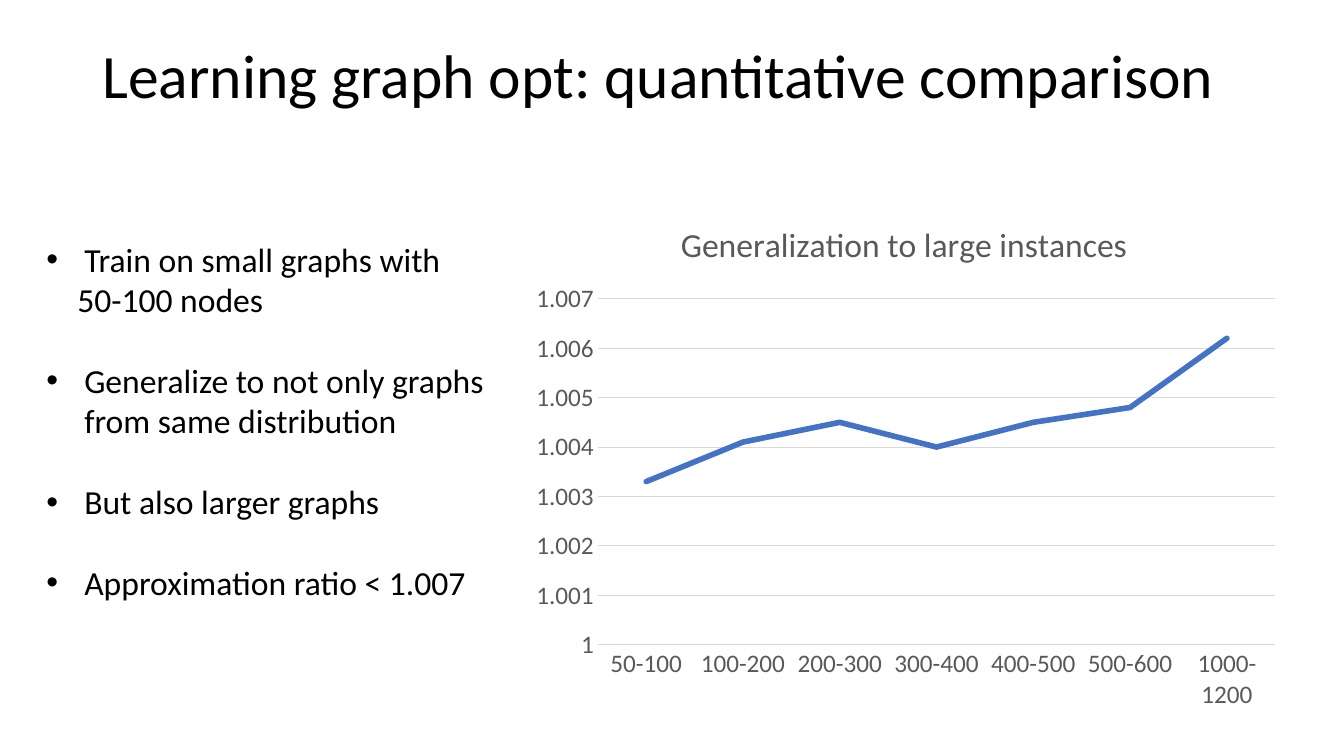
from dataclasses import dataclass

from lxml.etree import SubElement
from pptx import Presentation
from pptx.chart.data import CategoryChartData
from pptx.dml.color import RGBColor
from pptx.enum.chart import XL_CHART_TYPE, XL_TICK_MARK
from pptx.enum.text import MSO_ANCHOR, MSO_AUTO_SIZE, PP_ALIGN
from pptx.oxml import parse_xml
from pptx.oxml.ns import nsdecls, qn
from pptx.util import Pt


@dataclass(frozen=True)
class Theme:
    font: str = "Calibri"
    ink: RGBColor = RGBColor(0, 0, 0)
    muted: RGBColor = RGBColor(0x59, 0x59, 0x59)
    rule: RGBColor = RGBColor(0xD9, 0xD9, 0xD9)
    line: RGBColor = RGBColor(0x44, 0x72, 0xC4)
    title: int = 44
    body: int = 24
    axis: int = 18


theme = Theme()


def style(font, size, color):
    font.name = theme.font
    font.size = Pt(size)
    font.bold = False
    font.color.rgb = color


def set_layout(parent, index, **values):
    for old in parent.findall(qn("c:layout")):
        parent.remove(old)
    layout = parse_xml(f"<c:layout {nsdecls('c')}><c:manualLayout/></c:layout>")
    for tag, value in values.items():
        SubElement(layout[0], qn(f"c:{tag}")).set("val", str(value))
    parent.insert(index, layout)


prs = Presentation()
prs.slide_width, prs.slide_height = Pt(960), Pt(540)
s = prs.slides.add_slide(prs.slide_layouts[1])
title, body = s.placeholders

for sp, box in ((title, (66, 29, 828, 66)), (body, (26, 167, 327, 327))):
    sp.left, sp.top, sp.width, sp.height = [Pt(v) for v in box]
    sp.text_frame.word_wrap = True
    sp.text_frame.auto_size = MSO_AUTO_SIZE.NONE
    sp.text_frame.vertical_anchor = MSO_ANCHOR.TOP

p = title.text_frame.paragraphs[0]
p.alignment = PP_ALIGN.LEFT
p.line_spacing = 0.9
r = p.add_run()
r.text = "Learning graph opt: quantitative comparison"
style(r.font, theme.title, theme.ink)

points = [
    ("Train on small graphs with", True, 0),
    ("50-100 nodes", False, 0),
    ("Generalize to not only graphs from same distribution", True, 29),
    ("But also larger graphs", True, 29),
    ("Approximation ratio < 1.007", True, 29),
]
tf = body.text_frame
for i, (text, bulleted, gap) in enumerate(points):
    p = tf.add_paragraph() if i else tf.paragraphs[0]
    pPr = p._p.get_or_add_pPr()
    if bulleted:
        pPr.set("marL", str(Pt(27)))
        pPr.set("indent", str(Pt(-27)))
        SubElement(pPr, qn("a:buFont")).set("typeface", "Arial")
        SubElement(pPr, qn("a:buChar")).set("char", "•")
    else:
        pPr.set("marL", str(Pt(22)))
        pPr.set("indent", "0")
        SubElement(pPr, qn("a:buNone"))
    p.space_before = Pt(gap)
    r = p.add_run()
    r.text = text
    style(r.font, theme.body, theme.ink)

data = CategoryChartData(number_format="General")
data.categories = ["50-100", "100-200", "200-300", "300-400",
                   "400-500", "500-600", "1000-1200"]
ratios = [1.0033, 1.0041, 1.0045, 1.004, 1.0045, 1.0048, 1.0062]
data.add_series("Series 1", ratios)
for n in range(2, 8):
    data.add_series(f"Series {n}", [None] * len(ratios))
chart = s.shapes.add_chart(XL_CHART_TYPE.LINE, Pt(372), Pt(147),
                           Pt(550), Pt(369), data).chart
style(chart.font, theme.axis, theme.muted)
chart.has_legend = False
chart.has_title = True
r = chart.chart_title.text_frame.paragraphs[0].add_run()
r.text = "Generalization to large instances"
style(r.font, theme.body, theme.muted)

for axis in (chart.category_axis, chart.value_axis):
    axis.major_tick_mark = axis.minor_tick_mark = XL_TICK_MARK.NONE
    style(axis.tick_labels.font, theme.axis, theme.muted)
chart.value_axis.minimum_scale = 1
chart.value_axis.maximum_scale = 1.007
chart.value_axis.major_unit = 0.001
chart.value_axis.tick_labels.number_format = "General"
chart.value_axis.tick_labels.number_format_is_linked = False
chart.value_axis.format.line.fill.background()
for rule in (chart.category_axis.format.line, chart.value_axis.major_gridlines.format.line):
    rule.color.rgb = theme.rule
    rule.width = Pt(0.75)

plot = chart.plots[0]
plot.vary_by_categories = False
for series in plot.series:
    series.smooth = False
ratio_line = plot.series[0].format.line
ratio_line.color.rgb = theme.line
ratio_line.width = Pt(4)
ratio_line._get_or_add_ln().set("cap", "rnd")

set_layout(chart.chart_title._element, 1, xMode="edge", yMode="edge", x=0.2, y=0.02)
set_layout(chart._chartSpace.find(".//" + qn("c:plotArea")), 0, layoutTarget="inner",
           xMode="edge", yMode="edge", x=0.1, y=0.18, w=0.88, h=0.67)

prs.save("out.pptx")
